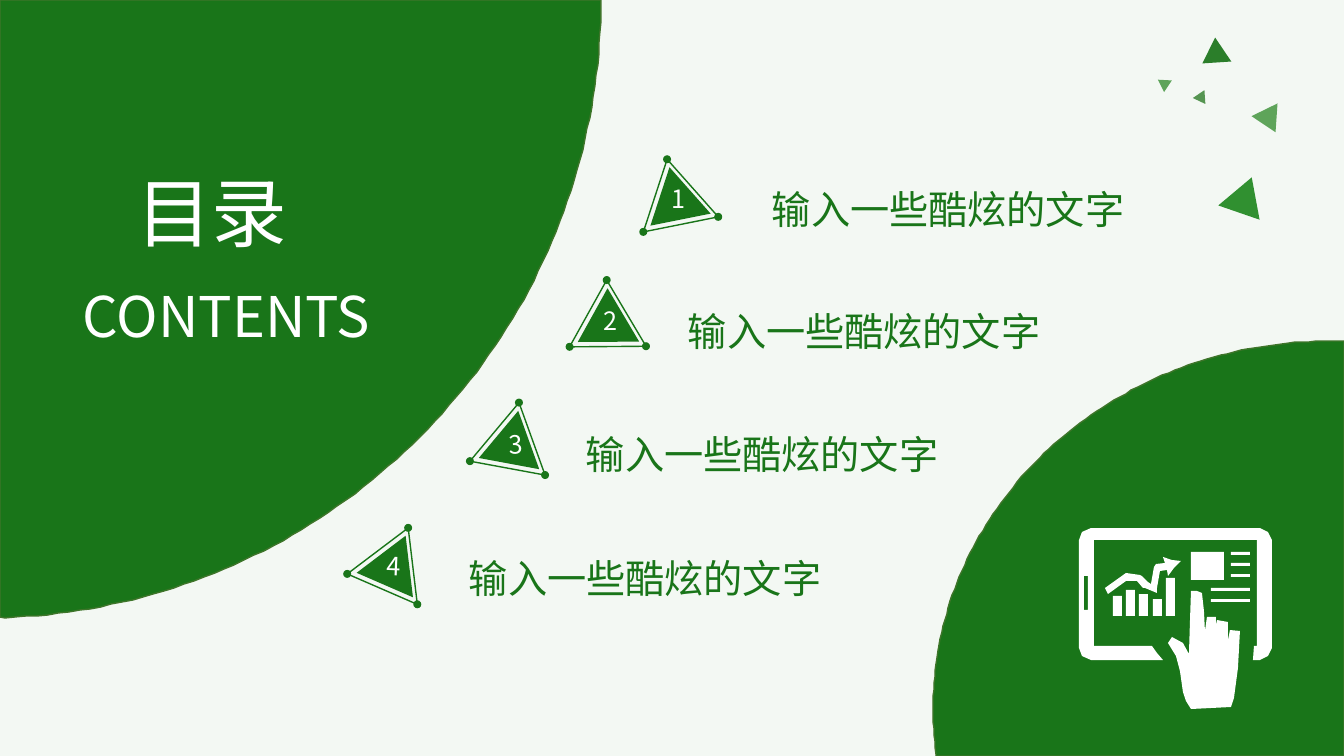
"""Builds a contents slide with four numbered topics."""
import math
from pptx import Presentation
from pptx import util as u
from pptx.dml.color import RGBColor
from pptx.enum import shapes, text
from pptx.oxml.ns import qn

PX = 914400 / 100.8
FONT = "Noto Sans CJK SC"
GREEN = RGBColor(0x19, 0x75, 0x19)
EDGE = RGBColor(0x3E, 0x75, 0x2A)
PALE = RGBColor(0xF3, 0xF8, 0xF3)
WHITE = RGBColor(0xFF, 0xFF, 0xFF)
LEAF = RGBColor(0x5E, 0xA4, 0x5A)
GRASS = RGBColor(0x30, 0x90, 0x30)
FERN = RGBColor(0x2B, 0x7E, 0x2A)
MOSS = RGBColor(0x55, 0x95, 0x51)
TRI = shapes.MSO_SHAPE.ISOSCELES_TRIANGLE
DOT = shapes.MSO_SHAPE.OVAL


def write(box, words, place, size, color=WHITE, align=None, turn=0):
    box.left, box.top, box.width, box.height = [round(v * PX) for v in place]
    box.rotation = turn
    frame = box.text_frame
    frame.word_wrap = True
    frame.auto_size = text.MSO_AUTO_SIZE.SHAPE_TO_FIT_TEXT
    frame.vertical_anchor = text.MSO_ANCHOR.TOP
    para = frame.paragraphs[0]
    para.alignment = align
    run = para.add_run()
    run.text = words
    run.font.size = u.Pt(size)
    run.font.name = FONT
    run.font.color.rgb = color
    east = run.font._element.makeelement(qn("a:ea"), {"typeface": FONT})
    run.font._element.find(qn("a:latin")).addnext(east)


def draw(home, kind, mid, size, fill=None, line=None, turn=0):
    (x, y), (w, h) = mid, size
    shape = home.add_shape(kind, *[round(v * PX) for v in (x - w / 2, y - h / 2, w, h)])
    shape.rotation = turn
    shape.shadow.inherit = False
    if fill is None:
        shape.fill.background()
    else:
        shape.fill.solid()
        shape.fill.fore_color.rgb = fill
    if line is None:
        shape.line.fill.background()
    else:
        shape.line.color.rgb = line
        shape.line.width = u.Pt(1)


deck = Presentation()
deck.slide_width, deck.slide_height = round(1344 * PX), round(756 * PX)
slide = deck.slides.add_slide(deck.slide_layouts[5])
slide.background.fill.solid()
slide.background.fill.fore_color.rgb = PALE
tree = slide.shapes

for mid, size, fill, turn in [
    ((1270, 121), (29, 25), LEAF, 153.9),
    ((1237, 202), (43, 38), GRASS, 259.5),
    ((1216, 50), (29, 25), FERN, 356.2),
    ((1163, 83), (14, 12), LEAF, 303.5),
    ((1202, 99), (14, 12), MOSS, 145.8),
]:
    draw(tree, TRI, mid, size, fill, turn=turn)

WIDE, HIGH = 77, 66
topics = [
    (668, 228.4, 762, 180, 662, 178, 0),
    (598, 239.3, 678, 302, 594, 300, 0),
    (501, 250.2, 576, 425, 499, 424, -3.6),
    (380, 263.2, 459, 549, 377, 546, 2.1),
]
for row, (x, turn, left, top, numx, numy, tilt) in enumerate(topics):
    y = 210 + 120 * row
    sin, cos = math.sin(math.radians(turn)), math.cos(math.radians(turn))
    write(tree.add_textbox(0, 0, 0, 0), "输入一些酷炫的文字", (left, top, 503, 57), 28, GREEN)
    badge = tree.add_group_shape().shapes
    draw(badge, TRI, (x, y), (WIDE, HIGH), line=GREEN, turn=turn)
    draw(badge, TRI, (x - 3 * sin, y + 3 * cos), (62, 53), GREEN, turn=turn)
    for dx, dy in [(0, -HIGH / 2), (-WIDE / 2, HIGH / 2), (WIDE / 2, HIGH / 2)]:
        tip = x + dx * cos - dy * sin, y + dx * sin + dy * cos
        draw(badge, DOT, tip, (8, 8), GREEN)
    write(badge.add_textbox(0, 0, 0, 0), str(row + 1), (numx, numy, 25, 40), 18,
          align=text.PP_ALIGN.CENTER, turn=tilt)

arcs = []
for x, y, wide, high, first, last in [(-17, 0, 618, 618, 0, 88), (1330, 709, 397, 368, 173, 270)]:
    angles = [math.radians(a) for a in range(first, last + 1)]
    arcs.append([(x + wide * math.cos(a), y + high * math.sin(a)) for a in angles])
disc = [(0, 0)] + arcs[0] + [(0, 617)]
dome = [(936, 756)] + arcs[1] + [(1344, 341), (1344, 756)]

tablet = [
    (1091, 528), (1260, 528), (1268, 532), (1272, 540), (1272, 648), (1268, 656),
    (1260, 660), (1253, 660), (1254, 646), (1257, 646), (1257, 540), (1094, 540),
    (1094, 646), (1152, 646), (1157, 653), (1163, 660), (1091, 660), (1082, 656),
    (1079, 648), (1079, 540), (1082, 532),
]
trend = [
    (1105, 588), (1108, 594), (1126, 581), (1137, 581), (1143, 588), (1145, 588),
    (1157, 593), (1157, 588), (1160, 571), (1167, 570), (1168, 576), (1174, 568),
    (1181, 561), (1172, 560), (1163, 557), (1165, 563), (1156, 564), (1154, 567),
    (1151, 584), (1148, 582), (1142, 576), (1140, 575), (1126, 573),
]
hand = [
    (1205, 631), (1204, 611), (1202, 593), (1197, 591), (1191, 591), (1190, 622),
    (1189, 654), (1183, 643), (1172, 637), (1168, 643), (1176, 656), (1180, 671),
    (1183, 692), (1186, 701), (1191, 709), (1231, 707), (1234, 698), (1238, 668),
    (1240, 631), (1230, 630), (1228, 640), (1228, 622), (1217, 620), (1216, 625),
    (1216, 617), (1207, 617),
]
bars = [(1113, 596), (1126, 590), (1139, 594), (1153, 599), (1166, 578)]
rules = [(1231, 552), (1231, 563), (1231, 574), (1211, 588), (1211, 599)]
rects = [(1084, 576, 1088, 610), (1191, 552, 1224, 580)]
rects += [(x, y, x + 9, 616) for x, y in bars]
rects += [(x, y, 1250, y + 3) for x, y in rules]
icon = [tablet, trend, hand]
icon += [[(l, t), (r, t), (r, b), (l, b)] for l, t, r, b in rects]

for loops, fill, edge in [([disc], GREEN, EDGE), ([dome], GREEN, EDGE), (icon, WHITE, None)]:
    pen = tree.build_freeform(*loops[0][0], scale=PX)
    for loop in loops:
        pen.move_to(*loop[0])
        pen.add_line_segments(loop[1:], close=True)
    form = pen.convert_to_shape()
    form.shadow.inherit = False
    form.fill.solid()
    form.fill.fore_color.rgb = fill
    if edge is None:
        form.line.fill.background()
    else:
        form.line.color.rgb = edge
        form.line.width = u.Pt(1)

title = tree.title
tree._spTree.append(title._element)
write(title, "目录", (126, 161, 210, 102), 54, align=text.PP_ALIGN.JUSTIFY)
write(tree.add_textbox(0, 0, 0, 0), "CONTENTS", (73, 277, 340, 78), 40,
      align=text.PP_ALIGN.JUSTIFY)

deck.save("out.pptx")
